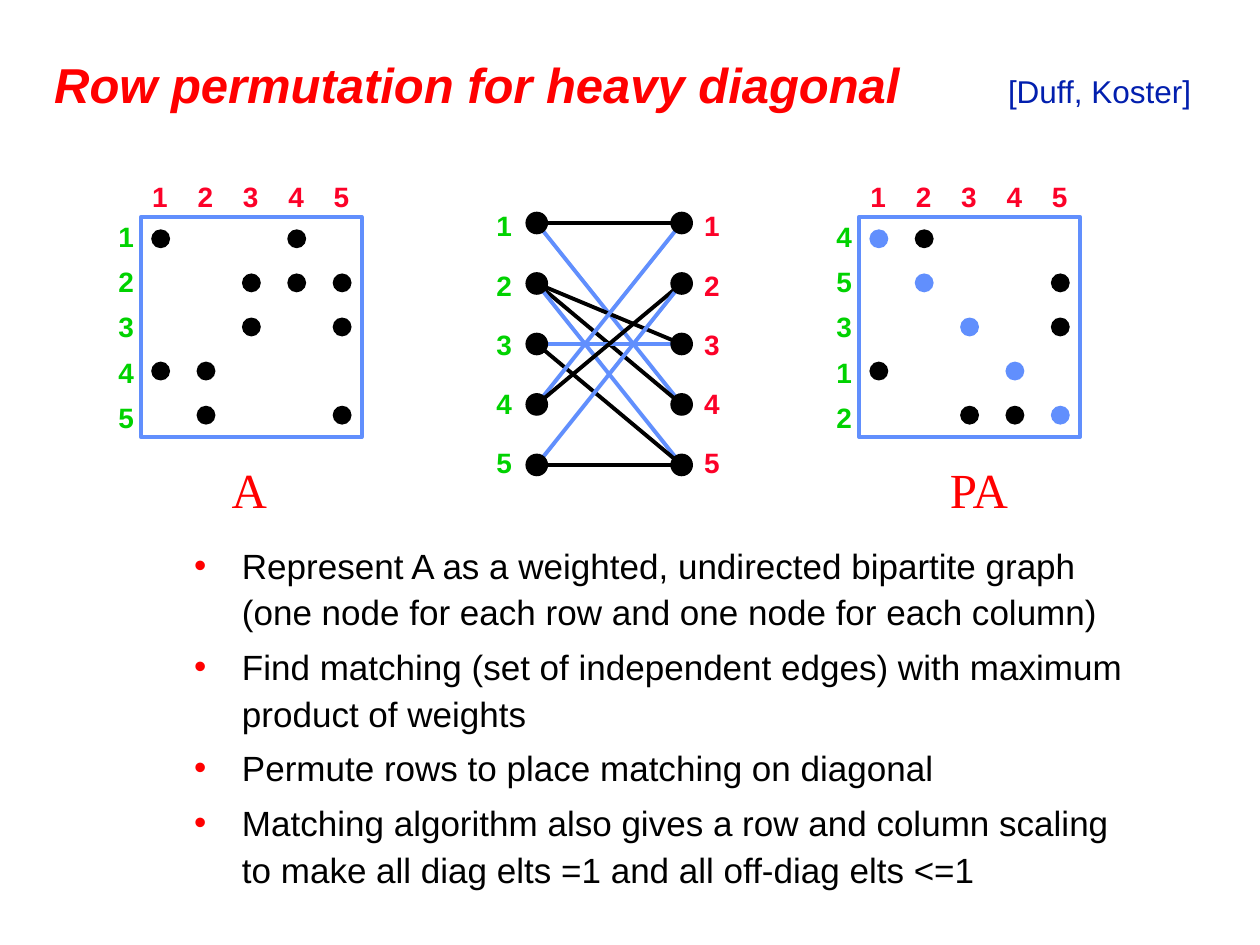
from dataclasses import dataclass

from lxml.etree import SubElement
from pptx import Presentation
from pptx.dml.color import RGBColor
from pptx.enum.shapes import MSO_CONNECTOR, MSO_SHAPE
from pptx.enum.text import MSO_ANCHOR, MSO_AUTO_SIZE, PP_ALIGN
from pptx.oxml.ns import qn
from pptx.shapes.shapetree import GroupShapes, SlideShapes
from pptx.slide import Slide
from pptx.util import Inches, Pt

RED = RGBColor(0xFF, 0x00, 0x00)
CRIMSON = RGBColor(0xFC, 0x01, 0x28)
GREEN = RGBColor(0x00, 0xD2, 0x00)
BLUE = RGBColor(0x61, 0x8F, 0xFD)
NAVY = RGBColor(0x02, 0x1F, 0xAE)
BLACK = RGBColor(0x00, 0x00, 0x00)

Shapes = SlideShapes | GroupShapes

INDICES = [1, 2, 3, 4, 5]
ENTRIES = {1: [1, 4], 2: [3, 4, 5], 3: [3, 5], 4: [1, 2], 5: [2, 5]}
MATCHING = {1: 4, 2: 5, 3: 3, 4: 1, 5: 2}

BULLETS = [
    "Represent A as a weighted, undirected bipartite graph "
    "(one node for each row and one node for each column)",
    "Find matching (set of independent edges) with maximum product of weights",
    "Permute rows to place matching on diagonal",
    "Matching algorithm also gives a row and column scaling"
    "\vto make all diag elts =1 and all off-diag elts <=1",
]


@dataclass
class Matrix:
    name: str
    left: float
    name_width: float
    rows: list[int]
    show_matching: bool


@dataclass
class NodeColumn:
    center: float
    label_left: float
    color: RGBColor


MATRIX_A = Matrix("A", 1.12, 0.48, INDICES, False)
MATRIX_PA = Matrix("PA", 6.82, 0.69, sorted(INDICES, key=MATCHING.get), True)
ROW_NODES = NodeColumn(4.26, 3.84, GREEN)
COLUMN_NODES = NodeColumn(5.41, 5.49, CRIMSON)


def add_label(shapes: Shapes, text: str, x: float, y: float, color: RGBColor,
              w: float = 0.32, h: float = 0.37, size: int = 16,
              font: str = "Arial", bold: bool = True) -> None:
    tf = shapes.add_textbox(Inches(x), Inches(y), Inches(w), Inches(h)).text_frame
    tf.word_wrap = False
    tf.auto_size = MSO_AUTO_SIZE.SHAPE_TO_FIT_TEXT
    tf.text = text
    f = tf.paragraphs[0].runs[0].font
    f.name, f.size, f.bold = font, Pt(size), bold
    f.color.rgb = color


def add_dot(shapes: Shapes, x: float, y: float, size: float, color: RGBColor) -> None:
    sp = shapes.add_shape(MSO_SHAPE.OVAL, Inches(x), Inches(y), Inches(size), Inches(size))
    sp.shadow.inherit = False
    sp.fill.solid()
    sp.fill.fore_color.rgb = color
    sp.line.fill.background()


def add_edge(shapes: Shapes, y1: float, y2: float, color: RGBColor) -> None:
    line = shapes.add_connector(MSO_CONNECTOR.STRAIGHT, Inches(ROW_NODES.center), Inches(y1),
                                Inches(COLUMN_NODES.center), Inches(y2))
    line.line.color.rgb = color
    line.line.width = Pt(2.25)
    SubElement(line._element.spPr, qn("a:effectLst"))


def add_matrix(shapes: Shapes, m: Matrix) -> None:
    top, pitch = 1.72, 0.36
    for i, row in enumerate(m.rows):
        for col in ENTRIES[row]:
            matched = m.show_matching and MATCHING[row] == col
            add_dot(shapes, m.left + 0.08 + pitch * (col - 1), top + 0.1 + 0.35 * i,
                    0.15, BLUE if matched else BLACK)
    frame = shapes.add_shape(MSO_SHAPE.RECTANGLE, Inches(m.left), Inches(top),
                             Inches(1.75), Inches(1.75))
    frame.shadow.inherit = False
    frame.fill.background()
    frame.line.color.rgb = BLUE
    frame.line.width = Pt(2.25)
    for i, (col, row) in enumerate(zip(INDICES, m.rows)):
        add_label(shapes, str(col), m.left - 0.01 + pitch * i, 1.38, CRIMSON)
        add_label(shapes, str(row), m.left - 0.28, 1.69 + pitch * i, GREEN)
    add_label(shapes, m.name, m.left + 0.62, 3.6, RED, m.name_width, 0.57,
              28, "Times New Roman", False)


def add_graph(shapes: Shapes) -> None:
    node_y = {n: 1.77 + 0.48 * (n - 1) for n in INDICES}
    for row, cols in ENTRIES.items():
        for col in cols:
            color = BLUE if MATCHING[row] == col else BLACK
            add_edge(shapes, node_y[row], node_y[col], color)
    for side in (ROW_NODES, COLUMN_NODES):
        for n in INDICES:
            add_dot(shapes, side.center - 0.09, node_y[n] - 0.09, 0.18, BLACK)
            add_label(shapes, str(n), side.label_left, 1.61 + 0.47 * (n - 1), side.color)


def add_title(s: Slide) -> None:
    sp = s.shapes.title
    sp.left, sp.top, sp.width, sp.height = Inches(0.33), Inches(0.33), Inches(9.42), Inches(0.67)
    tf = sp.text_frame
    tf.auto_size = MSO_AUTO_SIZE.NONE
    tf.vertical_anchor = MSO_ANCHOR.MIDDLE
    p = tf.paragraphs[0]
    p.alignment = PP_ALIGN.LEFT
    tabs = SubElement(p._p.get_or_add_pPr(), qn("a:tabLst"))
    SubElement(tabs, qn("a:tab"), pos=str(Inches(7.57)), algn="l")
    for text, size, color, heavy in (
        ("Row permutation for heavy diagonal\t", 28, RED, True),
        ("[Duff, Koster]", 18, NAVY, False),
    ):
        r = p.add_run()
        r.text = text
        r.font.name, r.font.size = "Arial", Pt(size)
        r.font.bold = r.font.italic = heavy
        r.font.color.rgb = color


def add_bullets(s: Slide) -> None:
    sp = s.placeholders[1]
    sp.left, sp.top, sp.width, sp.height = Inches(1.44), Inches(4.24), Inches(7.75), Inches(2.92)
    tf = sp.text_frame
    tf.auto_size = MSO_AUTO_SIZE.NONE
    for i, text in enumerate(BULLETS):
        p = tf.paragraphs[0] if i == 0 else tf.add_paragraph()
        p.text = text
        pPr = p._p.get_or_add_pPr()
        pPr.set("marL", str(Inches(0.38)))
        pPr.set("indent", str(-Inches(0.38)))
        SubElement(SubElement(pPr, qn("a:buClr")), qn("a:srgbClr"), val=str(RED))
        SubElement(pPr, qn("a:buChar"), char="•")
        p.line_spacing = 1.1
        p.space_before = Pt(5 if i else 0)
        for r in p.runs:
            r.font.name, r.font.size = "Arial", Pt(20)
            r.font.color.rgb = BLACK


def main() -> None:
    prs = Presentation()
    prs.slide_width, prs.slide_height = Inches(10), Inches(7.5)
    s = prs.slides.add_slide(prs.slide_layouts[1])
    add_title(s)
    add_bullets(s)
    add_matrix(s.shapes, MATRIX_A)
    add_graph(s.shapes.add_group_shape().shapes)
    add_matrix(s.shapes.add_group_shape().shapes, MATRIX_PA)
    prs.save("out.pptx")


if __name__ == "__main__":
    main()
